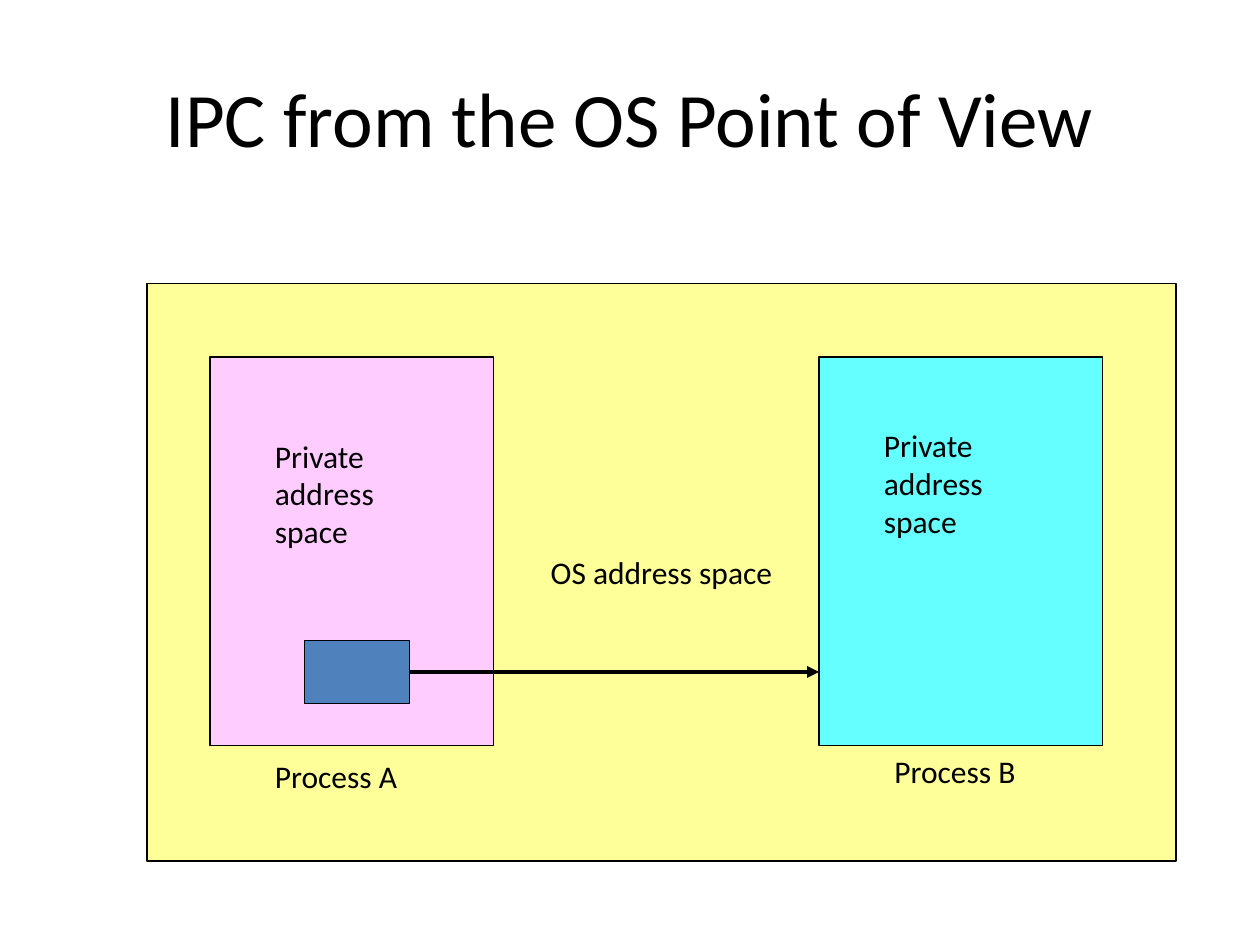
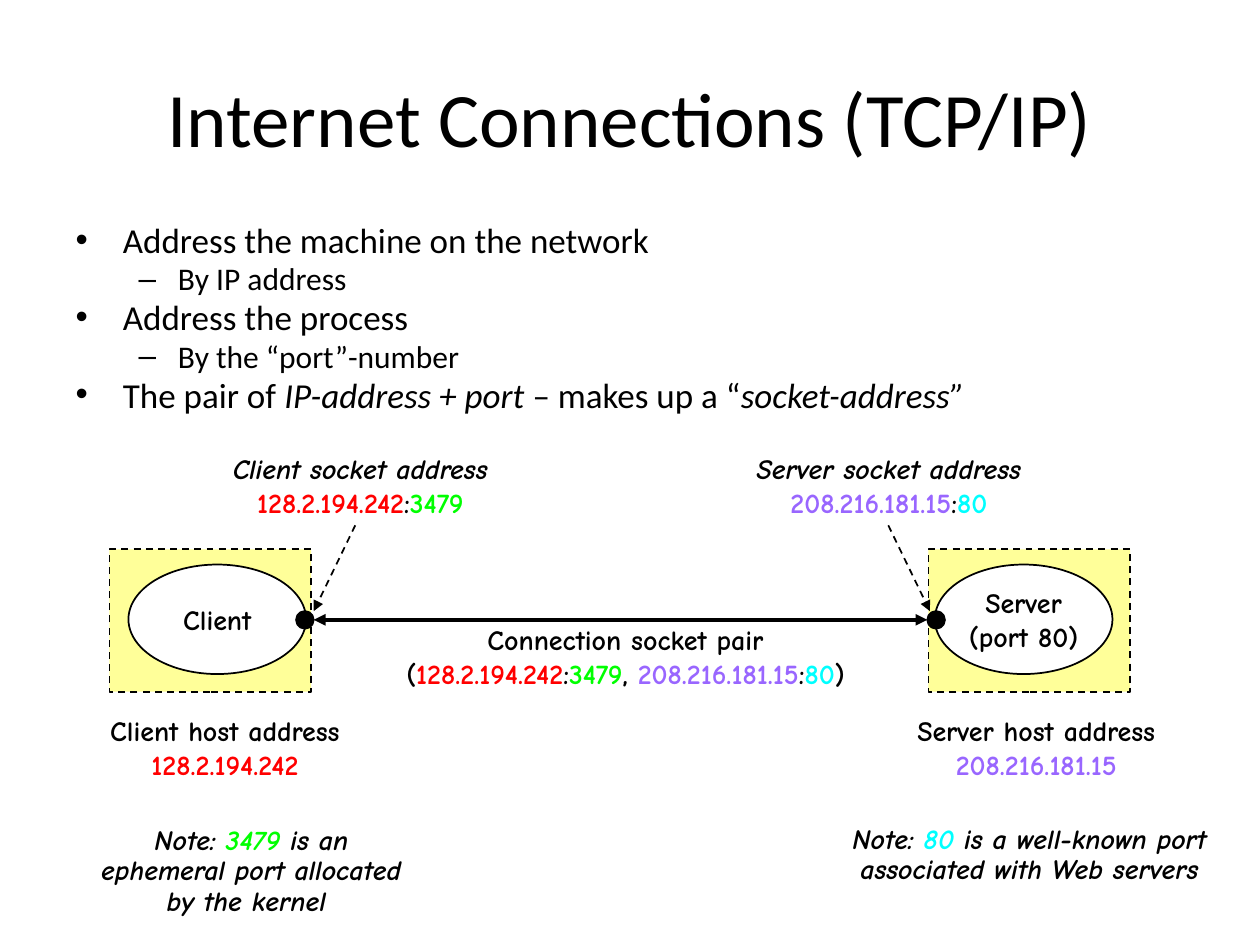
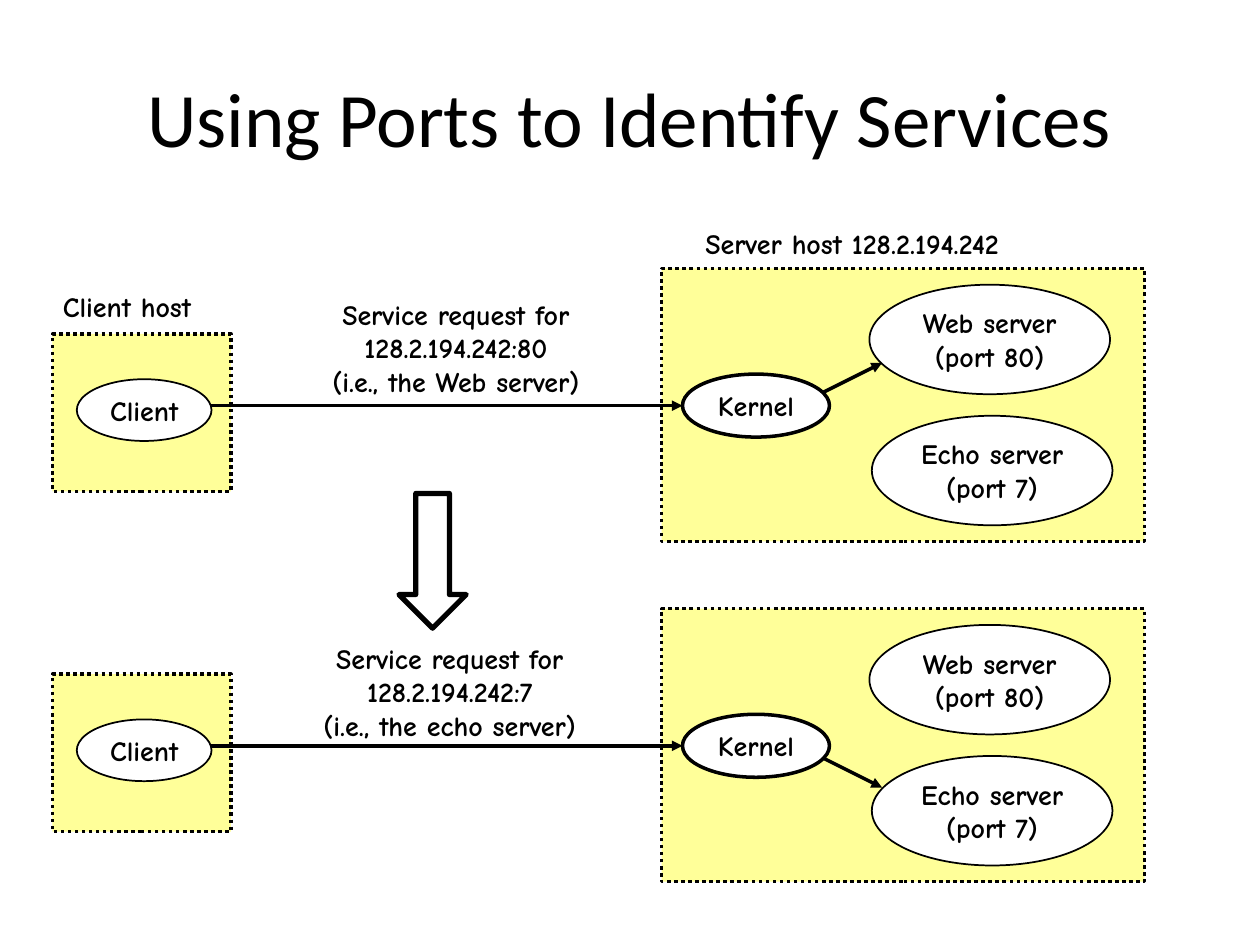
from typing import NamedTuple

from pptx import Presentation
from pptx.dml.color import RGBColor
from pptx.enum.dml import MSO_LINE
from pptx.enum.shapes import MSO_CONNECTOR, MSO_SHAPE
from pptx.enum.text import MSO_ANCHOR, MSO_AUTO_SIZE, PP_ALIGN
from pptx.oxml.ns import qn
from pptx.util import Pt

RECTANGLE, ELLIPSE = MSO_SHAPE.RECTANGLE, MSO_SHAPE.OVAL
DOWN_ARROW = MSO_SHAPE.DOWN_ARROW
STRAIGHT = MSO_CONNECTOR.STRAIGHT
LEFT, CENTER = PP_ALIGN.LEFT, PP_ALIGN.CENTER
TOP, MIDDLE = MSO_ANCHOR.TOP, MSO_ANCHOR.MIDDLE
DASH, DOTS = MSO_LINE.DASH, MSO_LINE.ROUND_DOT
TITLE_ONLY, TITLE_AND_CONTENT = 5, 1
RIGHT_SIDE = 3

BLACK = RGBColor(0x00, 0x00, 0x00)
WHITE = RGBColor(0xFF, 0xFF, 0xFF)
YELLOW = RGBColor(0xFF, 0xFF, 0x99)
PINK = RGBColor(0xFF, 0xCC, 0xFF)
AQUA = RGBColor(0x66, 0xFF, 0xFF)
BLUE = RGBColor(0x4F, 0x81, 0xBD)
RED = RGBColor(0xFF, 0x00, 0x00)
GREEN = RGBColor(0x00, 0xFF, 0x00)
PURPLE = RGBColor(0x99, 0x66, 0xFF)
CYAN = RGBColor(0x00, 0xFF, 0xFF)


class Style(NamedTuple):
    font: str
    size: float
    bold: bool = False


class Run(NamedTuple):
    text: str
    color: RGBColor = BLACK
    italic: bool = False


TITLE = Style("Calibri", 44)
BULLET = Style("Calibri", 20)
SUB_BULLET = Style("Calibri", 18)
PLAIN = Style("Calibri", 18)
HAND = Style("Comic Neue", 16, True)

CLIENT_IP = Run("128.2.194.242", RED)
CLIENT_PORT = Run("3479", GREEN)
SERVER_IP = Run("208.216.181.15", PURPLE)
SERVER_PORT = Run("80", CYAN)
CLIENT_SOCKET = [CLIENT_IP, ":", CLIENT_PORT]
SERVER_SOCKET = [SERVER_IP, ":", SERVER_PORT]


def italic(text, color=BLACK):
    return Run(text, color, True)


def add_runs(paragraph, pieces, style):
    """Fill a paragraph; a piece is a plain string or a Run."""
    for piece in pieces:
        piece = Run(piece) if isinstance(piece, str) else piece
        run = paragraph.add_run()
        run.text = piece.text
        run.font.name = style.font
        run.font.size = Pt(style.size)
        run.font.bold = style.bold
        run.font.italic = piece.italic
        run.font.color.rgb = piece.color


def write_lines(frame, lines, style, align, spacing=None):
    """Write one paragraph per line; a line is a string or a list of pieces."""
    for number, line in enumerate(lines):
        paragraph = frame.paragraphs[0] if number == 0 else frame.add_paragraph()
        paragraph.alignment = align
        paragraph.line_spacing = spacing
        add_runs(paragraph, [line] if isinstance(line, str) else line, style)


def place(shape, left, top, width, height):
    shape.left, shape.top = Pt(left), Pt(top)
    shape.width, shape.height = Pt(width), Pt(height)


def add_slide(prs, title, layout=TITLE_ONLY):
    slide = prs.slides.add_slide(prs.slide_layouts[layout])
    place(slide.shapes.title, 36, 21.6, 648, 90)
    frame = slide.shapes.title.text_frame
    frame.auto_size = MSO_AUTO_SIZE.NONE
    frame.vertical_anchor = MIDDLE
    write_lines(frame, [title], TITLE, CENTER)
    return slide


def add_bullets(slide, box, items):
    body = slide.placeholders[1]
    place(body, *box)
    frame = body.text_frame
    frame.auto_size = MSO_AUTO_SIZE.NONE
    for number, (level, pieces) in enumerate(items):
        paragraph = frame.paragraphs[0] if number == 0 else frame.add_paragraph()
        paragraph.level = level
        paragraph.line_spacing = 0.8
        add_runs(paragraph, pieces, SUB_BULLET if level else BULLET)


def add_label(slide, box, lines, style=HAND, align=CENTER, anchor=TOP, spacing=None):
    frame = slide.shapes.add_textbox(*map(Pt, box)).text_frame
    frame.word_wrap = True
    frame.vertical_anchor = anchor
    write_lines(frame, lines, style, align, spacing)


def add_figure(slide, kind, box, fill, line_width, dash=None, lines=(), style=HAND):
    """Add an outlined shape with centred text; a fill of None stays hollow."""
    shape = slide.shapes.add_shape(kind, *map(Pt, box))
    shape.shadow.inherit = False
    if fill is None:
        shape.fill.background()
    else:
        shape.fill.solid()
        shape.fill.fore_color.rgb = fill
    shape.line.color.rgb = BLACK
    shape.line.width = Pt(line_width)
    if dash:
        shape.line.dash_style = dash
    frame = shape.text_frame
    frame.word_wrap = False
    frame.vertical_anchor = MIDDLE
    write_lines(frame, lines, style, CENTER)
    return shape


def add_arrow(slide, start, end, width, dash=None, two_way=False):
    arrow = slide.shapes.add_connector(STRAIGHT, *map(Pt, (*start, *end)))
    arrow.line.color.rgb = BLACK
    arrow.line.width = Pt(width)
    if dash:
        arrow.line.dash_style = dash
    outline = arrow.line._get_or_add_ln()
    for tip in ["a:headEnd", "a:tailEnd"] if two_way else ["a:tailEnd"]:
        outline.makeelement(qn(tip), {})
        outline.append(outline.makeelement(qn(tip), {"type": "triangle"}))
    properties = arrow._element.spPr
    properties.append(properties.makeelement(qn("a:effectLst"), {}))
    return arrow


def add_process(slide, left, fill, name, name_box, note_box):
    add_figure(slide, RECTANGLE, (left, 204, 162, 222), fill, 0.75)
    add_label(slide, (*name_box, 96.5, 29), [name], PLAIN, LEFT)
    add_label(slide, (*note_box, 102, 72), ["Private address space"], PLAIN, LEFT)


def build_ipc(prs):
    slide = add_slide(prs, "IPC from the OS Point of View")
    add_figure(slide, RECTANGLE, (84, 162, 588, 330), YELLOW, 0.75,
               lines=["OS address space"], style=PLAIN)
    add_process(slide, 120, PINK, "Process A", (150, 429), (150, 246))
    add_process(slide, 468, AQUA, "Process B", (504, 426), (498, 240))
    message = add_figure(slide, RECTANGLE, (174, 366, 60, 36), BLUE, 0.75)
    transfer = add_arrow(slide, (234, 384), (468, 384), 2.25)
    transfer.begin_connect(message, RIGHT_SIDE)


def add_endpoint(slide, host_left, process_left, socket_left, lines):
    """Add a host with its process and the dot that marks the socket."""
    add_figure(slide, RECTANGLE, (host_left, 313.9, 115.2, 81.4), YELLOW, 1, DASH)
    add_figure(slide, ELLIPSE, (process_left, 322.6, 101.5, 62.6), WHITE, 1, lines=lines)
    add_figure(slide, ELLIPSE, (socket_left, 349.2, 10.1, 10.1), BLACK, 1)


def build_connections(prs):
    slide = add_slide(prs, "Internet Connections (TCP/IP)", TITLE_AND_CONTENT)
    add_bullets(slide, (36, 126, 648, 145.4), [
        (0, ["Address the machine on the network"]),
        (1, ["By IP address"]),
        (0, ["Address the process"]),
        (1, ["By the “port”-number"]),
        (0, ["The pair of ", italic("IP-address + port "), "– makes up a “",
             italic("socket-address”")]),
    ])
    add_endpoint(slide, 62.6, 73.4, 169.2, ["Client"])
    add_endpoint(slide, 530.6, 534.2, 529.9, ["Server", "(port 80)"])
    add_arrow(slide, (179.3, 354.2), (529.9, 354.2), 2.25, two_way=True)
    add_arrow(slide, (203, 300.2), (179.3, 349.2), 1, DASH)
    add_arrow(slide, (507.6, 300.2), (531.4, 349.2), 1, DASH)

    address_labels = [
        (115.2, 254.2, 181.4, [[italic("Client socket address")], CLIENT_SOCKET]),
        (406.1, 254.2, 203.8, [[italic("Server socket address")], SERVER_SOCKET]),
        (177.8, 352.1, 359.3, ["Connection socket pair",
                               ["(", *CLIENT_SOCKET, ", ", *SERVER_SOCKET, ")"]]),
        (46.1, 403.9, 164.9, ["Client host address", [CLIENT_IP]]),
        (505.4, 403.9, 173.5, ["Server host address", [SERVER_IP]]),
    ]
    for left, top, width, lines in address_labels:
        add_label(slide, (left, top, width, 46.1), lines, anchor=MIDDLE)

    add_label(slide, (39.6, 468.7, 208.1, 59), [
        [italic("Note: "), italic("3479", GREEN), italic(" is an")],
        [italic("ephemeral port allocated")],
        [italic("by the kernel ")],
    ], spacing=0.9)
    add_label(slide, (463, 468, 250.6, 41.8), [
        [italic("Note: "), italic("80", CYAN), italic(" is a well-known port")],
        [italic("associated with Web servers")],
    ], spacing=0.9)


def add_service_request(slide, top, request_box, request, dispatch_start, dispatch_end):
    """Add a client host, a server host and a request passed on by the kernel.

    The top is that of the server host; dispatch heights are measured from it.
    """
    add_figure(slide, RECTANGLE, (30, top + 37.4, 102, 90), YELLOW, 2, DOTS)
    add_figure(slide, RECTANGLE, (378, top, 276, 156), YELLOW, 2, DOTS)
    add_figure(slide, ELLIPSE, (496.8, top + 9.3, 137.5, 62.6), WHITE, 1,
               lines=["Web server", "(port 80)"])
    add_figure(slide, ELLIPSE, (498.2, top + 84.2, 137.5, 62.6), WHITE, 1,
               lines=["Echo server", "(port 7)"])
    add_label(slide, request_box, request)
    add_arrow(slide, (120, top + 78.4), (390, top + 78.4), 2)
    add_arrow(slide, (468, top + dispatch_start), (504, top + dispatch_end), 2)
    add_figure(slide, ELLIPSE, (390, top + 60.4, 84, 36), WHITE, 2, lines=["Kernel"])
    add_figure(slide, ELLIPSE, (43.9, top + 63.3, 77, 35.3), WHITE, 1, lines=["Client"])


def build_ports(prs):
    slide = add_slide(prs, "Using Ports to Identify Services")
    add_label(slide, (28.8, 162, 97.9, 26.6), ["Client host"], align=LEFT)
    add_label(slide, (396, 126, 232.6, 26.6), ["Server host 128.2.194.242"], align=LEFT)
    add_service_request(
        slide, 153.4, (156.2, 166.3, 208.8, 64.8),
        ["Service request for", "128.2.194.242:80", "(i.e., the Web server)"], 72, 54)
    add_service_request(
        slide, 347.8, (161.3, 362.9, 191.5, 64.8),
        ["Service request for", "128.2.194.242:7", "(i.e., the echo server)"], 84.2, 102.2)
    add_figure(slide, DOWN_ARROW, (228, 282, 38.4, 77), None, 3)


def main():
    prs = Presentation()
    prs.slide_width, prs.slide_height = Pt(720), Pt(540)
    build_ipc(prs)
    build_connections(prs)
    build_ports(prs)
    prs.save("out.pptx")


if __name__ == "__main__":
    main()
